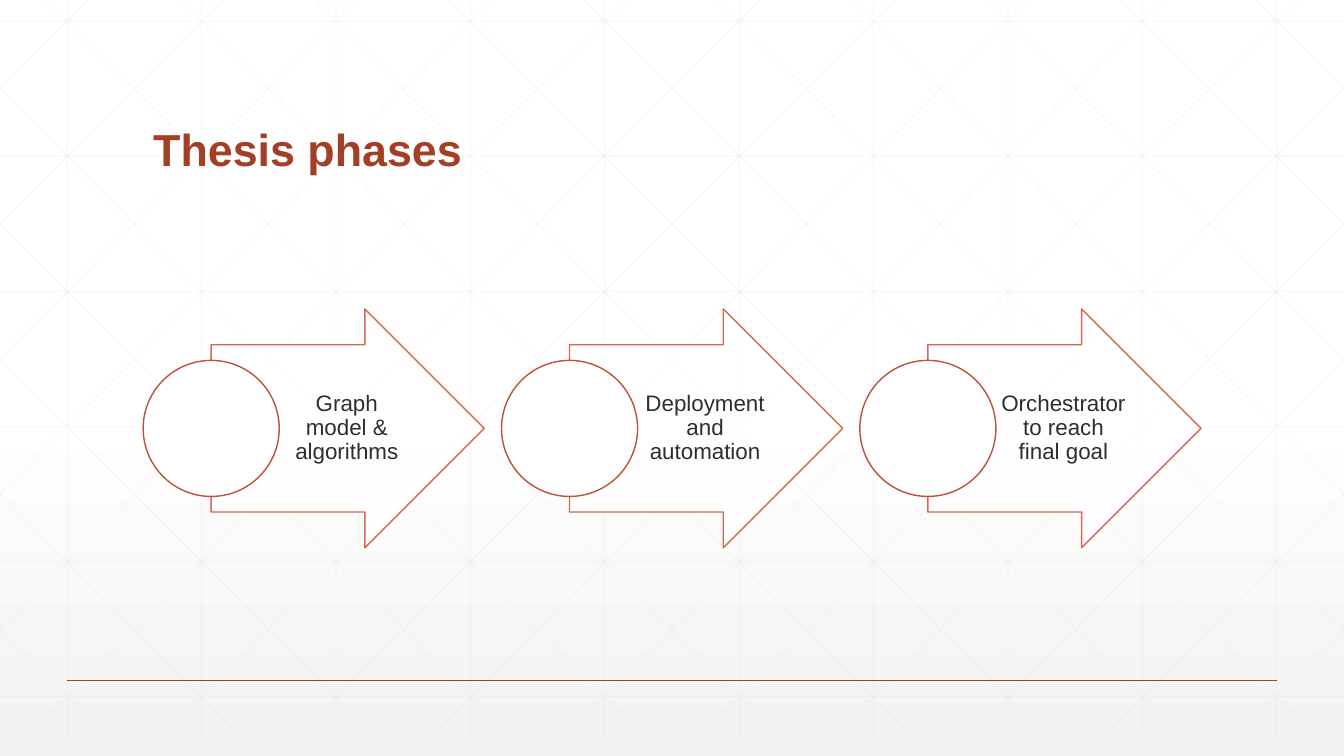
from lxml import etree
from pptx import Presentation, util as u
from pptx.dml.color import RGBColor
from pptx.enum import shapes, text
from pptx.oxml import parse_xml
from pptx.oxml.ns import nsdecls, qn

COLORS = {"grid": "D9D9D9", "accent": "A43F27", "arrow": "D15A3E",
          "circle": "BE5238", "body": "2D2E2D", "white": "FFFFFF"}
WIDTH, HEIGHT = 13.333, 7.5
MARGIN = 1.42
GRID_TOP, GRID_BOTTOM = -0.21, 7.29
GRID_COLUMN, GRID_ROW = WIDTH / 10, 1.34
SLOPE = 1.006
PHASE_STEP, CENTER_Y = 3.555, 4.25
ARROW_W, ARROW_H, CIRCLE = 2.71, 2.37, 1.35
LABEL_W, LABEL_H = 1.32, 1.66
PHASES = ["Graph model & algorithms", "Deployment and automation",
          "Orchestrator to reach final goal"]

prs = Presentation()
prs.slide_width, prs.slide_height = u.Inches(WIDTH), u.Inches(HEIGHT)
slide = prs.slides.add_slide(prs.slide_layouts[5])


def write(frame, content, size, color, bold=False, align=text.PP_ALIGN.LEFT,
          anchor=text.MSO_ANCHOR.MIDDLE, insets=(0.1, 0.05, 0.1, 0.05)):
    frame.word_wrap = True
    frame.auto_size = text.MSO_AUTO_SIZE.NONE
    frame.vertical_anchor = anchor
    (frame.margin_left, frame.margin_top,
     frame.margin_right, frame.margin_bottom) = map(u.Inches, insets)
    paragraph = frame.paragraphs[0]
    paragraph.alignment, paragraph.line_spacing = align, 0.9
    run = paragraph.add_run()
    run.text = content
    run.font.name, run.font.size, run.font.bold = "Arial", u.Pt(size), bold
    run.font.color.rgb = RGBColor.from_string(COLORS[color])


def outline(shape, color, width, opacity=100):
    shape.line.color.rgb = RGBColor.from_string(COLORS[color])
    shape.line.width = u.Pt(width)
    if opacity < 100:
        tint = shape.line._ln.find(".//" + qn("a:srgbClr"))
        etree.SubElement(tint, qn("a:alpha"), val=str(opacity * 1000))


background = slide.background.fill
background.gradient()
background.gradient_angle = 270
stops = background._fill._gradFill.find(qn("a:gsLst"))
for stop in list(stops):
    stops.remove(stop)
for position, color, opacity in [(0, "FFFFFF", 100), (53, "FFFFFF", 100), (100, "F2F2F2", 65)]:
    stops.append(parse_xml(
        f'<a:gs {nsdecls("a")} pos="{position * 1000}"><a:srgbClr val="{color}">'
        f'<a:alpha val="{opacity * 1000}"/></a:srgbClr></a:gs>'))

rules = []
for column in range(10):
    x = GRID_COLUMN * (column + 0.5)
    rules.append((x, GRID_TOP, x, GRID_BOTTOM, "grid", 0.5, 25))
for row in range(6):
    y = 0.21 + GRID_ROW * row
    rules.append((0, y, WIDTH, y, "grid", 0.5, 25))
for diagonal in range(-5, 10):
    top_x = 0.25 + GRID_COLUMN * diagonal
    x1 = max(top_x, 0)
    x2 = min(top_x + (GRID_BOTTOM - GRID_TOP) / SLOPE, WIDTH)
    y1, y2 = (GRID_TOP + (x - top_x) * SLOPE for x in (x1, x2))
    rules.append((x1, y1, x2, y2, "grid", 0.5, 25))
    rules.append((WIDTH - x1, y1, WIDTH - x2, y2, "grid", 0.5, 25))
rules.append((WIDTH * 0.05, HEIGHT * 0.9, WIDTH * 0.95, HEIGHT * 0.9, "accent", 1, 100))

for x1, y1, x2, y2, color, width, opacity in rules:
    rule = slide.shapes.add_connector(
        shapes.MSO_CONNECTOR.STRAIGHT, *map(u.Inches, (x1, y1, x2, y2)))
    outline(rule, color, width, opacity)
    etree.SubElement(rule._element.spPr, qn("a:effectLst"))

title = slide.shapes.title
title._element.getparent().append(title._element)
title.left, title.top, title.width, title.height = map(u.Inches, (MARGIN, 0.55, 10.5, 1.25))
write(title.text_frame, "Thesis phases", 32, "accent", bold=True,
      anchor=text.MSO_ANCHOR.BOTTOM)

for index, phase in enumerate(PHASES):
    left = MARGIN + PHASE_STEP * index
    arrow = slide.shapes.add_shape(
        shapes.MSO_SHAPE.RIGHT_ARROW, u.Inches(left + CIRCLE / 2),
        u.Inches(CENTER_Y - ARROW_H / 2), u.Inches(ARROW_W), u.Inches(ARROW_H))
    arrow.adjustments[0], arrow.adjustments[1] = 0.7, 0.5
    label = slide.shapes.add_textbox(
        u.Inches(left + CIRCLE), u.Inches(CENTER_Y - LABEL_H / 2),
        u.Inches(LABEL_W), u.Inches(LABEL_H))
    write(label.text_frame, phase, 16, "body", align=text.PP_ALIGN.CENTER,
          insets=(0.04, 0.01, 0.02, 0.01))
    circle = slide.shapes.add_shape(
        shapes.MSO_SHAPE.OVAL, u.Inches(left), u.Inches(CENTER_Y - CIRCLE / 2),
        u.Inches(CIRCLE), u.Inches(CIRCLE))
    for part, color, opacity in [(arrow, "arrow", 90), (circle, "circle", 100)]:
        part.shadow.inherit = False
        part.fill.solid()
        part.fill.fore_color.rgb = RGBColor.from_string(COLORS["white"])
        fill_tint = part._element.spPr.find(qn("a:solidFill"))[0]
        etree.SubElement(fill_tint, qn("a:alpha"), val=str(opacity * 1000))
        outline(part, color, 1, opacity)

prs.save("out.pptx")
